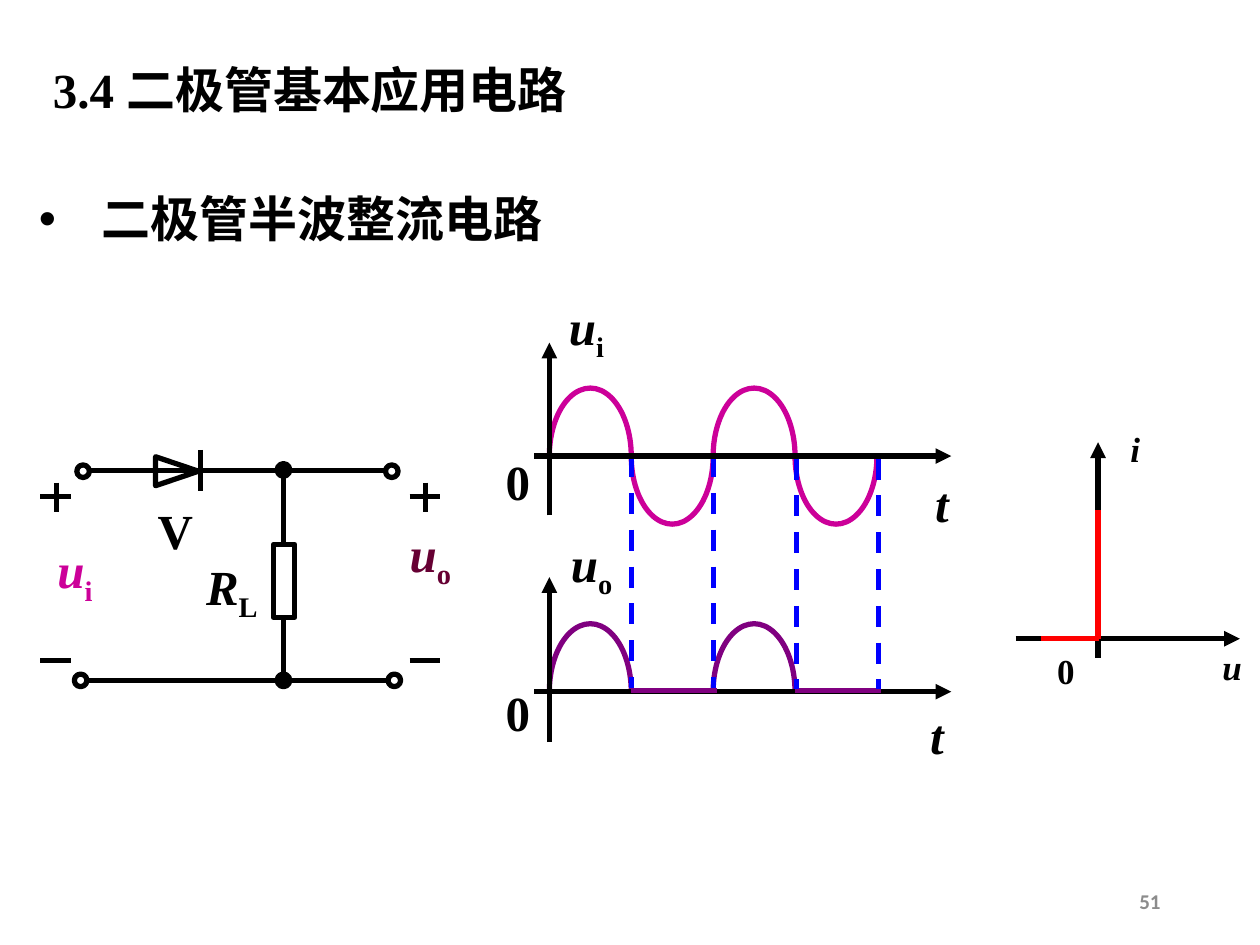
from lxml import etree
from pptx import Presentation
from pptx.dml.color import RGBColor
from pptx.enum.dml import MSO_LINE
from pptx.enum.shapes import MSO_CONNECTOR, MSO_SHAPE
from pptx.enum.text import MSO_ANCHOR, MSO_AUTO_SIZE, PP_ALIGN
from pptx.oxml.ns import qn
from pptx.util import Inches, Pt

BLACK = RGBColor(0, 0, 0)
WHITE = RGBColor(255, 255, 255)
PINK = RGBColor(0xCC, 0x00, 0x99)
PURPLE = RGBColor(0x80, 0x00, 0x80)
WINE = RGBColor(0x66, 0x00, 0x33)
BLUE = RGBColor(0, 0, 255)
RED = RGBColor(255, 0, 0)
GRAY = RGBColor(0x8C, 0x8C, 0x8C)
DASH = MSO_LINE.DASH
STRAIGHT = MSO_CONNECTOR.STRAIGHT
ARC, OVAL = MSO_SHAPE.ARC, MSO_SHAPE.OVAL
RECT, WEDGE = MSO_SHAPE.RECTANGLE, MSO_SHAPE.ISOSCELES_TRIANGLE
TOP, MIDDLE = MSO_ANCHOR.TOP, MSO_ANCHOR.MIDDLE
LEFT, CENTER, RIGHT = PP_ALIGN.LEFT, PP_ALIGN.CENTER, PP_ALIGN.RIGHT
FIXED = MSO_AUTO_SIZE.NONE
SERIF, HAN = "Times New Roman", "Noto Sans CJK SC"

deck = Presentation()
deck.slide_width, deck.slide_height = Inches(10), Inches(7.5)
COL, ROW = deck.slide_width / 100, deck.slide_height / 75
slide = deck.slides.add_slide(deck.slide_layouts[5])
shapes = slide.shapes


def line(x1, y1, x2, y2, color=BLACK, dash=None, arrow=False):
    wire = shapes.add_connector(STRAIGHT, int(x1 * COL), int(y1 * ROW),
                                int(x2 * COL), int(y2 * ROW))
    wire.line.color.rgb, wire.line.width = color, Pt(3)
    if dash:
        wire.line.dash_style = dash
    if arrow:
        etree.SubElement(wire.line._get_or_add_ln(), qn("a:tailEnd"), type="triangle")
    etree.SubElement(wire._element.spPr, qn("a:effectLst"))


def write(box, spot, runs, size=28, color=BLACK, align=CENTER, anchor=MIDDLE, wrap=False):
    x, y, w, h = spot
    place = {"left": int(x * COL), "top": int(y * ROW), "width": int(w * COL), "height": int(h * ROW)}
    for key, val in place.items():
        setattr(box, key, val)
    frame = box.text_frame
    for key, val in {"word_wrap": wrap, "auto_size": FIXED, "vertical_anchor": anchor}.items():
        setattr(frame, key, val)
    para = frame.paragraphs[0]
    para.alignment = align
    for words, face, slant, base in runs:
        run = para.add_run()
        run.text = words
        font = run.font
        for key, val in {"name": face, "size": Pt(size), "bold": True, "italic": slant}.items():
            setattr(font, key, val)
        font.color.rgb = color
        mark = run._r.get_or_add_rPr()
        etree.SubElement(mark, qn("a:ea"), typeface=HAN)
        if base:
            mark.set("baseline", str(base * 1000))
    return para


write(shapes.title, (3.2, 4.2, 53.3, 5.7), [("3.4 二极管基本应用电路", SERIF, False, 0)],
      align=LEFT, anchor=TOP, wrap=True)

topic = write(shapes.add_textbox(0, 0, 0, 0), (2.1, 14.5, 53, 5.7),
              [("二极管", SERIF, False, 0), ("半波", HAN, False, 0), ("整流电路", SERIF, False, 0)],
              align=LEFT, anchor=TOP, wrap=True)
props = topic._p.get_or_add_pPr()
props.set("marL", str(Inches(0.5)))
props.set("indent", str(-Inches(0.5)))
etree.SubElement(props, qn("a:buFont"), typeface="Arial")
etree.SubElement(props, qn("a:buChar"), char="•")

ZERO, HALF, PEAK = 43.6, 6.5, 5.4
IN, OUT = 36.2, 54.9
waves = [(n, IN, PINK) for n in range(4)] + [(n, OUT, PURPLE) for n in (0, 2)]
for n, mid, color in waves:
    arc = shapes.add_shape(ARC, int((ZERO + n * HALF) * COL), int((mid - PEAK) * ROW),
                           int(HALF * COL), int(2 * PEAK * ROW))
    start, end = (0, 180) if n % 2 else (180, 0)
    arc.adjustments[0], arc.adjustments[1] = start * 0.6, end * 0.6
    arc.fill.background()
    arc.line.color.rgb, arc.line.width = color, Pt(3)
    arc.shadow.inherit = False

for n in (1, 2):
    line(ZERO + n * HALF, IN, ZERO + n * HALF, OUT - 0.3, BLUE, DASH)
for mid, low, high in ((IN, 40.9, 27.2), (OUT, 58.9, 45.8)):
    line(42.4, mid, 75.5, mid, arrow=True)
    line(ZERO, low, ZERO, high, arrow=True)
for n in (1, 3):
    line(ZERO + n * HALF, OUT - 0.1, ZERO + (n + 1) * HALF + 0.3, OUT - 0.1, PURPLE)
for n in (3, 4):
    line(ZERO + n * HALF + 0.1, IN + 0.2, ZERO + n * HALF + 0.1, OUT - 0.2, BLUE, DASH)

HIGH, LOW, MID = 37.35, 54, 22.5
for ends in ((15.9, 35.7, 15.9, 39), (6.8, HIGH, 30.9, HIGH), (6.8, LOW, 30.9, LOW),
             (MID, HIGH, MID, 43.2), (MID, 49, MID, LOW)):
    line(*ends)
for x in (3.2, 32.5):
    line(x, 39.4, x + 2.4, 39.4)
    line(x + 1.3, 38.3, x + 1.3, 40.6)
    line(x, 52.4, x + 2.4, 52.4)

parts = [(RECT, 21.7, 43.2, 1.7, 5.8, 0, None), (WEDGE, 12.9, 35.7, 2.3, 3.4, 90, None)]
parts += [(OVAL, x, y, 1, 1, 0, fill) for x, y, fill in (
    (30.8, 53.5, WHITE), (30.6, 36.9, WHITE), (5.9, 53.5, WHITE), (6.1, 36.9, WHITE),
    (22, 53.5, BLACK), (22, 36.8, BLACK))]
for kind, x, y, w, h, turn, fill in parts:
    part = shapes.add_shape(kind, int(x * COL), int(y * ROW), int(w * COL), int(h * ROW))
    part.rotation = turn
    part.shadow.inherit = False
    part.line.color.rgb, part.line.width = BLACK, Pt(3)
    if fill is None:
        part.fill.background()
    else:
        part.fill.solid()
        part.fill.fore_color.rgb = fill

line(80.6, 50.7, 98.4, 50.7, arrow=True)
line(87.15, 52.2, 87.15, 35.1, arrow=True)
line(82.6, 50.7, 87.2, 50.7, RED)
line(87.15, 50.7, 87.15, 40.5, RED)

for x, y, w, base, sub, size, color in (
        (73.2, 37.1, 3.1, "t", "", 28, BLACK), (44.1, 23.4, 4.9, "u", "i", 28, BLACK),
        (39.1, 35.4, 4, "0", "", 28, BLACK), (44.2, 42.2, 5.5, "u", "o", 28, BLACK),
        (72.8, 55.5, 3.1, "t", "", 28, BLACK), (39.1, 53.7, 4, "0", "", 28, BLACK),
        (11.5, 39.3, 4.8, "V", "", 28, BLACK), (15.2, 44, 6.4, "R", "L", 28, BLACK),
        (3.5, 42.7, 4.9, "u", "i", 28, PINK), (31.4, 41.4, 5.5, "u", "o", 28, WINE),
        (88.7, 33.6, 2.8, "i", "", 20, BLACK), (96, 50.9, 3.6, "u", "", 20, BLACK),
        (82.9, 51.2, 3.4, "0", "", 20, BLACK)):
    runs = [(base, SERIF, base not in "0V", 0)]
    if sub:
        runs.append((sub, SERIF, False, -25))
    write(shapes.add_textbox(0, 0, 0, 0), (x, y, w, size / 5), runs, size, color)

write(shapes.add_textbox(0, 0, 0, 0), (70.6, 69.5, 22.5, 4), [("51", "Calibri", False, 0)],
      12, GRAY, RIGHT, wrap=True)

deck.save("out.pptx")
